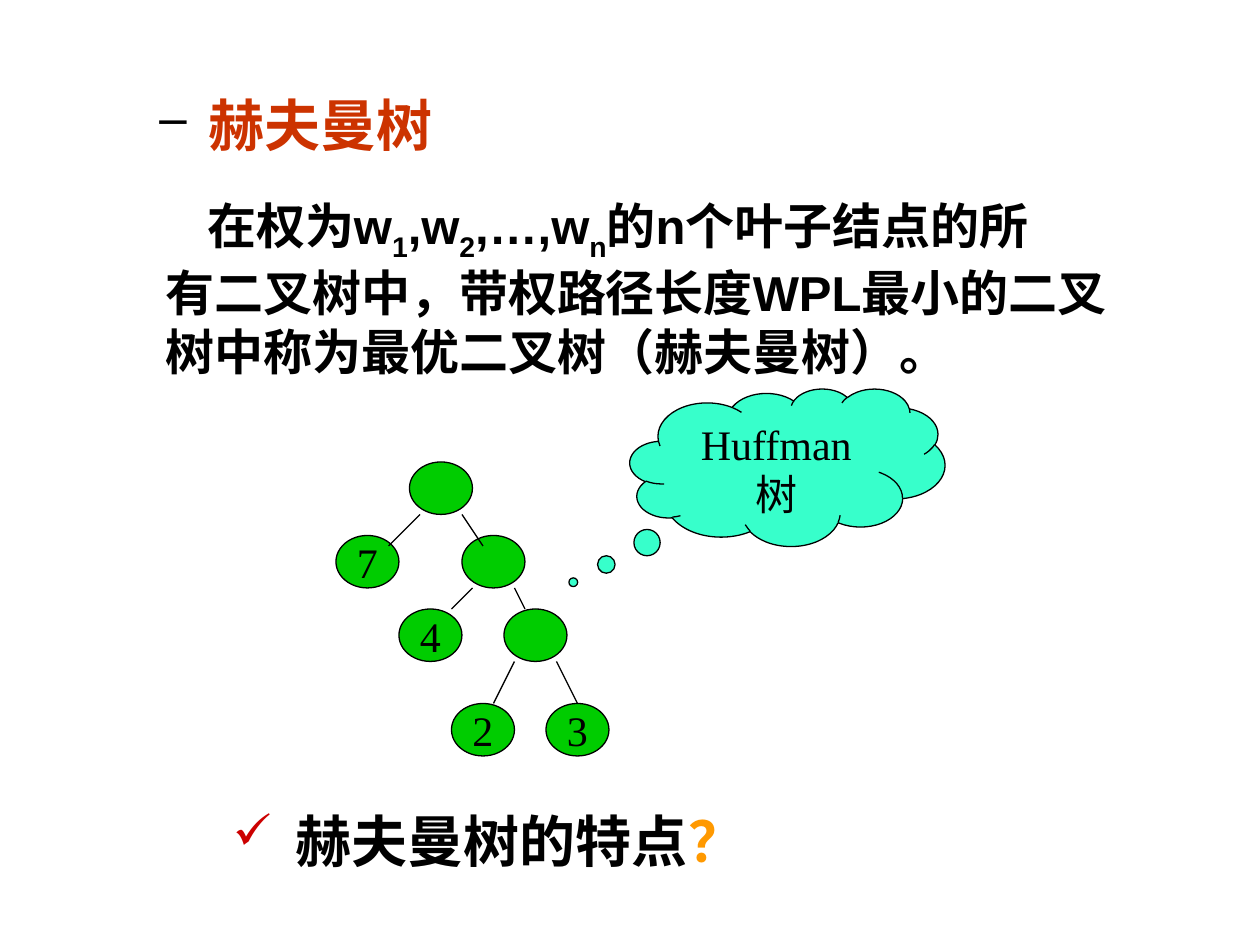
from pptx import Presentation, util as u
from pptx.dml.color import RGBColor
from pptx.enum import shapes, text
from pptx.oxml.ns import qn
from lxml import etree

COLORS = {"ink": "000000", "title": "CC3300", "node": "00CC00",
          "cloud": "37FFCB", "check": "CC0000", "question": "FF9900"}
GRID = 12  # grid cells per inch


def color(name):
    return RGBColor.from_string(COLORS[name])


def add_run(p, words, size=28, font="Arial", ink="ink", bold=True, base=0):
    r = p.add_run()
    r.text = words
    r.font.size, r.font.name, r.font.bold = u.Pt(size), font, bold
    r.font.color.rgb = color(ink)
    if base:
        r._r.get_or_add_rPr().set("baseline", str(base * 1000))
    return r


def set_indent(p, left, first, bullet=None, ink="ink"):
    pPr = p._p.get_or_add_pPr()
    pPr.set("marL", str(u.Inches(left)))
    pPr.set("indent", str(u.Inches(first)))
    if bullet:
        clr = etree.SubElement(pPr, qn("a:buClr"))
        etree.SubElement(clr, qn("a:srgbClr")).set("val", COLORS[ink])
        etree.SubElement(pPr, qn("a:buSzPct")).set("val", "88000")
        etree.SubElement(pPr, qn("a:buChar")).set("char", bullet)


class Board:
    """Style and current slide; lengths are cells of the grid."""

    def __init__(self, prs):
        self.s = prs.slides.add_slide(prs.slide_layouts[6])

    def cells(self, *values):
        return [u.Inches(v / GRID) for v in values]

    def textbox(self, *box):
        tf = self.s.shapes.add_textbox(*self.cells(*box)).text_frame
        tf.word_wrap = True
        return tf

    def shape(self, kind, box, fill, label="", wrap=True,
              anchor=text.MSO_ANCHOR.MIDDLE):
        sp = self.s.shapes.add_shape(kind, *self.cells(*box))
        sp.shadow.inherit = False
        sp.fill.solid()
        sp.fill.fore_color.rgb = color(fill)
        sp.line.color.rgb = color("ink")
        sp.line.width = u.Pt(0.75)
        tf = sp.text_frame
        tf.word_wrap, tf.vertical_anchor = wrap, anchor
        if label:
            p = tf.paragraphs[0]
            p.alignment = text.PP_ALIGN.CENTER
            add_run(p, label, size=24, font="Times New Roman", bold=False)
        return sp

    def node(self, x, y, label=""):
        self.shape(shapes.MSO_SHAPE.OVAL, (x, y, 6, 5), "node", label, wrap=False)

    def edge(self, *ends):
        c = self.s.shapes.add_connector(shapes.MSO_CONNECTOR.STRAIGHT,
                                        *self.cells(*ends))
        c.line.color.rgb = color("ink")
        c.line.width = u.Pt(0.75)
        etree.SubElement(c._element.spPr, qn("a:effectLst"))


def main():
    prs = Presentation()
    prs.slide_width, prs.slide_height = u.Inches(10), u.Inches(7.5)
    board = Board(prs)

    # Heading and definition
    tf = board.textbox(8, 8, 102, 54)
    p = tf.paragraphs[0]
    set_indent(p, 0.89, -0.39, "–")
    add_run(p, "赫夫曼树", size=32, ink="title")
    p = tf.add_paragraph()
    set_indent(p, 0.55, 0.33)
    p.space_before = u.Pt(22)
    for words, base in (("在权为w", 0), ("1", -25), (",w", 0), ("2", -25),
                        (",…,w", 0), ("n", -25), ("的n个叶子结点的所", 0)):
        add_run(p, words, base=base)
    for line in ("有二叉树中，带权路径长度WPL最小的二叉",
                 "树中称为最优二叉树（赫夫曼树）。"):
        p.add_line_break()
        add_run(p, line)

    # Tree nodes and edges
    for node in ((39, 44), (44, 51), (48, 58), (52, 67, "3"),
                 (43, 67, "2"), (38, 58, "4"), (32, 51, "7")):
        board.node(*node)
    for ends in ((40, 49, 37, 52), (44, 49, 46, 52), (45, 56, 43, 58),
                 (49, 56, 50, 58), (49, 63, 47, 67), (53, 63, 55, 67)):
        board.edge(*ends)

    # Thought cloud
    sp = board.shape(shapes.MSO_SHAPE.CLOUD_CALLOUT, (60, 37, 30, 15), "cloud",
                     "Huffman树", anchor=text.MSO_ANCHOR.TOP)
    sp.adjustments[0], sp.adjustments[1] = -0.68, 0.73

    # Closing question
    p = board.textbox(21, 76.2, 57, 7.7).paragraphs[0]
    set_indent(p, 0.5, -0.5, "✓", "check")
    add_run(p, "赫夫曼树的特点", size=32)
    add_run(p, "？", size=32, ink="question")

    prs.save("out.pptx")


if __name__ == "__main__":
    main()
